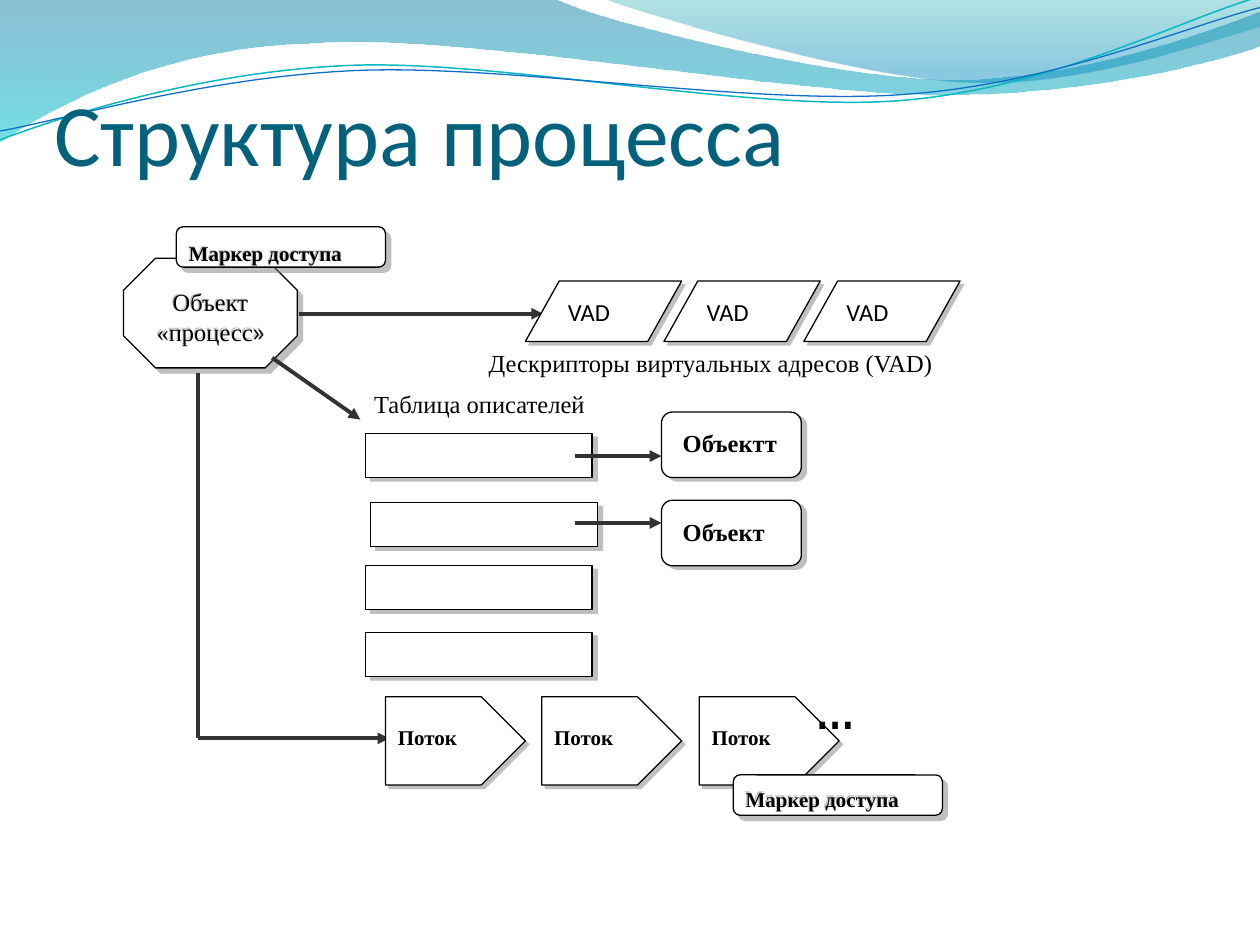
from lxml import etree
from pptx import Presentation
from pptx import util as u
from pptx.dml.color import RGBColor
from pptx.enum import shapes, text
from pptx.oxml.ns import qn

PX = 9144  # 100 px to the inch
THEME = {
    "title": "04617B", "ink": "000000", "paper": "FFFFFF", "arrow": "333333", "shadow": "808080",
    "serif": "Times New Roman", "sans": "Calibri", "narrow": "Arial Narrow",
    "title_size": 50, "dots_size": 28, "label_size": 14, "small_size": 12,
}
KIND = shapes.MSO_SHAPE

deck = Presentation()
deck.slide_width, deck.slide_height = 1000 * PX, 750 * PX
slide = deck.slides.add_slide(deck.slide_layouts[6])
drawn = slide.shapes


def shadowed(shape, distance, angle):
    """Give the shape a hard half-transparent shadow: points, degrees."""
    shape.shadow.inherit = False
    effects = shape._element.spPr.find(qn("a:effectLst"))
    outer = etree.SubElement(effects, qn("a:outerShdw"), blurRad="0", dist=str(int(distance * 12700)),
                             dir=str(angle * 60000), algn="ctr", rotWithShape="0")
    colour = etree.SubElement(outer, qn("a:srgbClr"), val=THEME["shadow"])
    etree.SubElement(colour, qn("a:alpha"), val="50000")


def label(words, box, size="label_size", font="serif", colour="ink", bold=False, before=0, after=6):
    holder = drawn.add_textbox(*(v * PX for v in box))
    holder.text_frame.word_wrap = True
    paragraph = holder.text_frame.paragraphs[0]
    paragraph.space_before, paragraph.space_after = u.Pt(before), u.Pt(after)
    run = paragraph.add_run()
    run.text = words
    for name, value in {"size": u.Pt(THEME[size]), "name": THEME[font], "bold": bold}.items():
        setattr(run.font, name, value)
    run.font.color.rgb = RGBColor.from_string(THEME[colour])
    return holder


# Waves along the top: start, then segments of one point (line) or three (curve)
waves = [
    ([(0, 0), [(440, -1)], [(476, 17), (664, 63), (758, 63)], [(853, 63), (958, 26), (1000, 9)],
      [(1001, 36)], [(983, 44), (870, 76), (746, 75)], [(622, 75), (382, 28), (257, 34)],
      [(129, 36), (46, 83), (-1, 113)], [(0, 0)]],
     [(0, "0074A1", 45), (1, "00C6CF", 55)], None),
    ([(479, -1), [(509, 11), (682, 62), (769, 65)], [(856, 69), (961, 32), (1000, 21)],
      [(1000, 0)], [(479, -1)]],
     [(0, "00A1A9", 30), (0.8, "008BBF", 45)], None),
    ([(0, 111), [(48, 93), (158, 57), (277, 52)], [(395, 47), (593, 89), (713, 80)],
      [(833, 71), (938, 15), (998, -2)]], None, ("0AB8BF", 0.85)),
    ([(0, 104), [(47, 96), (164, 61), (283, 56)], [(403, 51), (597, 84), (717, 75)],
      [(836, 67), (941, 21), (1000, 6)]], None, ("0F6FC6", 0.75)),
]
for (start, *segments), stops, stroke in waves:
    outline = drawn.build_freeform(*start, scale=PX)
    outline.add_line_segments([point for segment in segments for point in segment], close=bool(stops))
    wave = outline.convert_to_shape()
    wave.shadow.inherit = False
    corners = iter(list(wave._element.spPr.iter(qn("a:lnTo"))))
    for segment in segments:
        first, *others = [next(corners) for _ in segment]
        if others:
            curve = etree.Element(qn("a:cubicBezTo"))
            first.addprevious(curve)
            for corner in (first, *others):
                curve.append(corner[0])
                corner.getparent().remove(corner)
    if stops:
        wave.fill.gradient()
        wave.fill.gradient_angle = 270
        for stop, (position, colour, _) in zip(wave.fill.gradient_stops, stops):
            stop.position = position
            stop.color.rgb = RGBColor.from_string(colour)
        colours = list(wave._element.spPr.iter(qn("a:srgbClr")))
        for colour, (_, _, opacity) in zip(colours, stops):
            etree.SubElement(colour, qn("a:alpha"), val=str(opacity * 1000))
        wave.line.fill.background()
    else:
        wave.fill.background()
        wave.line.color.rgb = RGBColor.from_string(stroke[0])
        wave.line.width = u.Pt(stroke[1])

title = label("Структура процесса", (43, 21, 900, 125), "title_size", "sans", "title", after=0)
title.text_frame.vertical_anchor = text.MSO_ANCHOR.BOTTOM
title.text_frame.margin_left = title.text_frame.margin_right = title.text_frame.margin_bottom = 0

# Outlines and arrows, back to front; an arrow is (from, to, has head)
tokens = [(140, 180), (582, 615)]
vad_lefts = [417, 527, 638]
thread_lefts = [306, 430, 555]
object_tops = [327, 397]
arrows = [
    ((237, 249), (431, 249), True), ((216, 284), (286, 333), True),
    ((157, 296), (157, 586), False), ((157, 586), (309, 586), True),
]
object_arrows = [((456, y), (525, y), True) for y in (362, 415)]
token_outlines = [(KIND.ROUNDED_RECTANGLE, (x, y, 166, 32), 4.2, 45) for x, y in tokens]
parts = [
    (KIND.OCTAGON, (98, 205, 138, 87), 4.2, 45),
    token_outlines[0],
    *arrows,
    *[(KIND.RECTANGLE, (x, y, 180, 35), 3.6, 34) for x, y in ((290, 344), (294, 399), (290, 449), (290, 502))],
    *[(KIND.PARALLELOGRAM, (x, 223, 124, 48), 2.8, 45) for x in vad_lefts],
    *object_arrows,
    *[(KIND.ROUNDED_RECTANGLE, (525, y, 111, 52), 3.6, 34) for y in object_tops],
    *[(KIND.PENTAGON, (x, 553, 111, 70), 2.8, 45) for x in thread_lefts],
    token_outlines[1],
]
for part in parts:
    if len(part) == 3:
        begin, end, has_head = part
        arrow = drawn.add_connector(shapes.MSO_CONNECTOR.STRAIGHT, *(v * PX for v in begin + end))
        arrow.line.color.rgb = RGBColor.from_string(THEME["arrow"])
        arrow.line.width = u.Pt(2.25)
        properties = arrow._element.spPr
        if has_head:
            etree.SubElement(properties.find(qn("a:ln")), qn("a:tailEnd"), type="triangle")
        etree.SubElement(properties, qn("a:effectLst"))
        continue
    kind, box, distance, angle = part
    outline = drawn.add_shape(kind, *(v * PX for v in box))
    if kind == KIND.PARALLELOGRAM:
        outline.adjustments[0] = 0.56
    outline.fill.solid()
    outline.fill.fore_color.rgb = RGBColor.from_string(THEME["paper"])
    outline.line.color.rgb = RGBColor.from_string(THEME["ink"])
    outline.line.width = u.Pt(0.75)
    shadowed(outline, distance, angle)

# Wording
process = label("Объект «процесс", (98, 223, 138, 70))
process_line = process.text_frame.paragraphs[0]
process_line.alignment = text.PP_ALIGN.CENTER
quote = process_line.add_run()
quote.text = "»"
quote.font.size, quote.font.name = u.Pt(THEME["label_size"]), THEME["narrow"]
quote.font.color.rgb = RGBColor.from_string(THEME["ink"])
shadowed(process, 1, 225)

for (x, _), y, height in zip(tokens, (186, 619), (31, 38)):
    token = label("Маркер доступа", (x, y, 166, height), "small_size", bold=True, before=6, after=5)
    token.text_frame.paragraphs[0].space_before = u.Pt(6)
    shadowed(token, 1, 225)
for x in vad_lefts:
    label("VAD", (x + 24, 231, 83, 36), font="sans", after=10)
label("Дескрипторы виртуальных адресов (VAD)", (378, 271, 415, 52))
label("Таблица описателей", (287, 304, 221, 35))
for words, y in zip(("Объектт", "Объект"), object_tops):
    label(words, (532, y + 8, 97, 35), bold=True)
for x in thread_lefts:
    label("Поток", (x, 570, 97, 35), "small_size", bold=True)
label("…", (637, 535, 111, 70), "dots_size", "narrow", bold=True)

deck.save("out.pptx")
